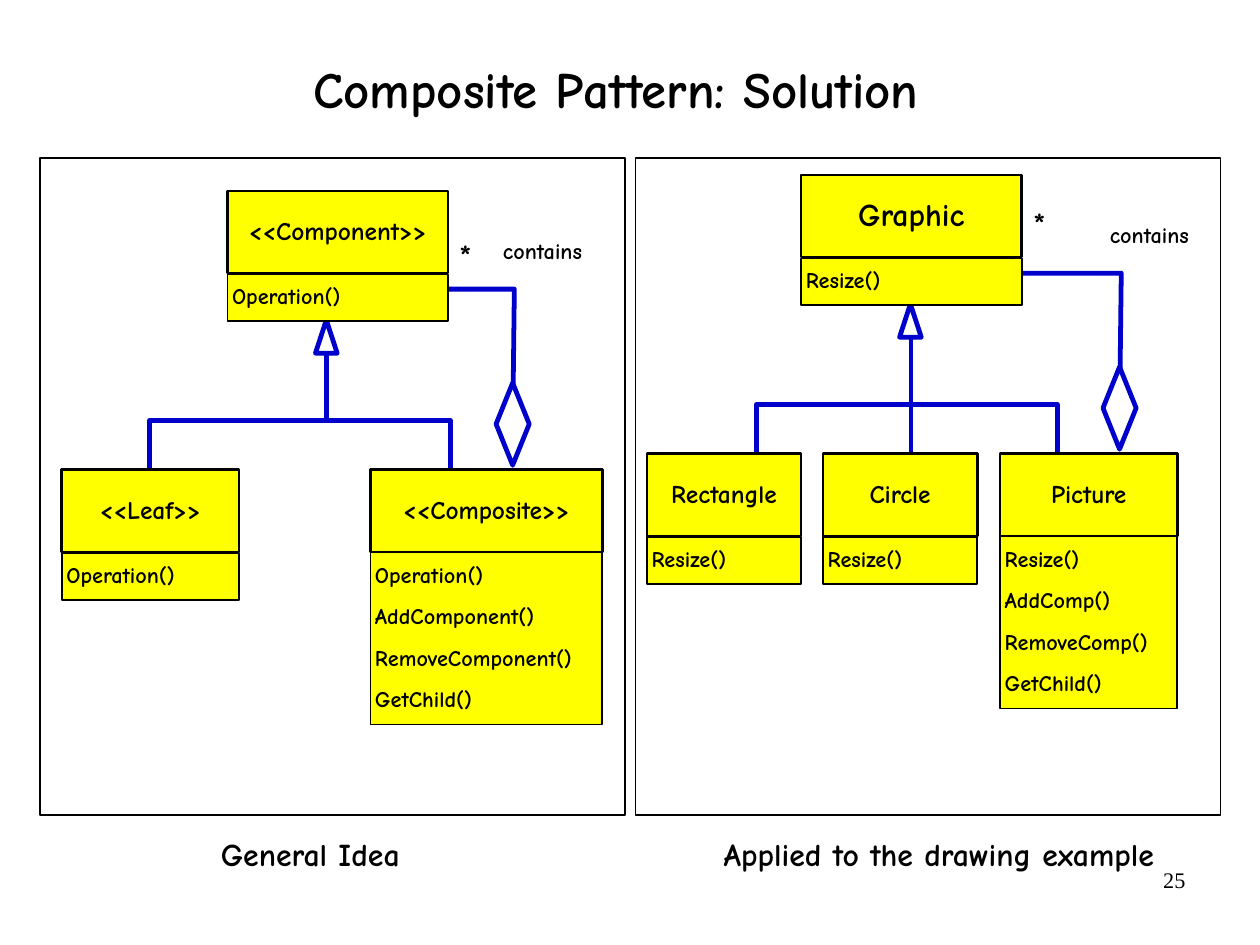
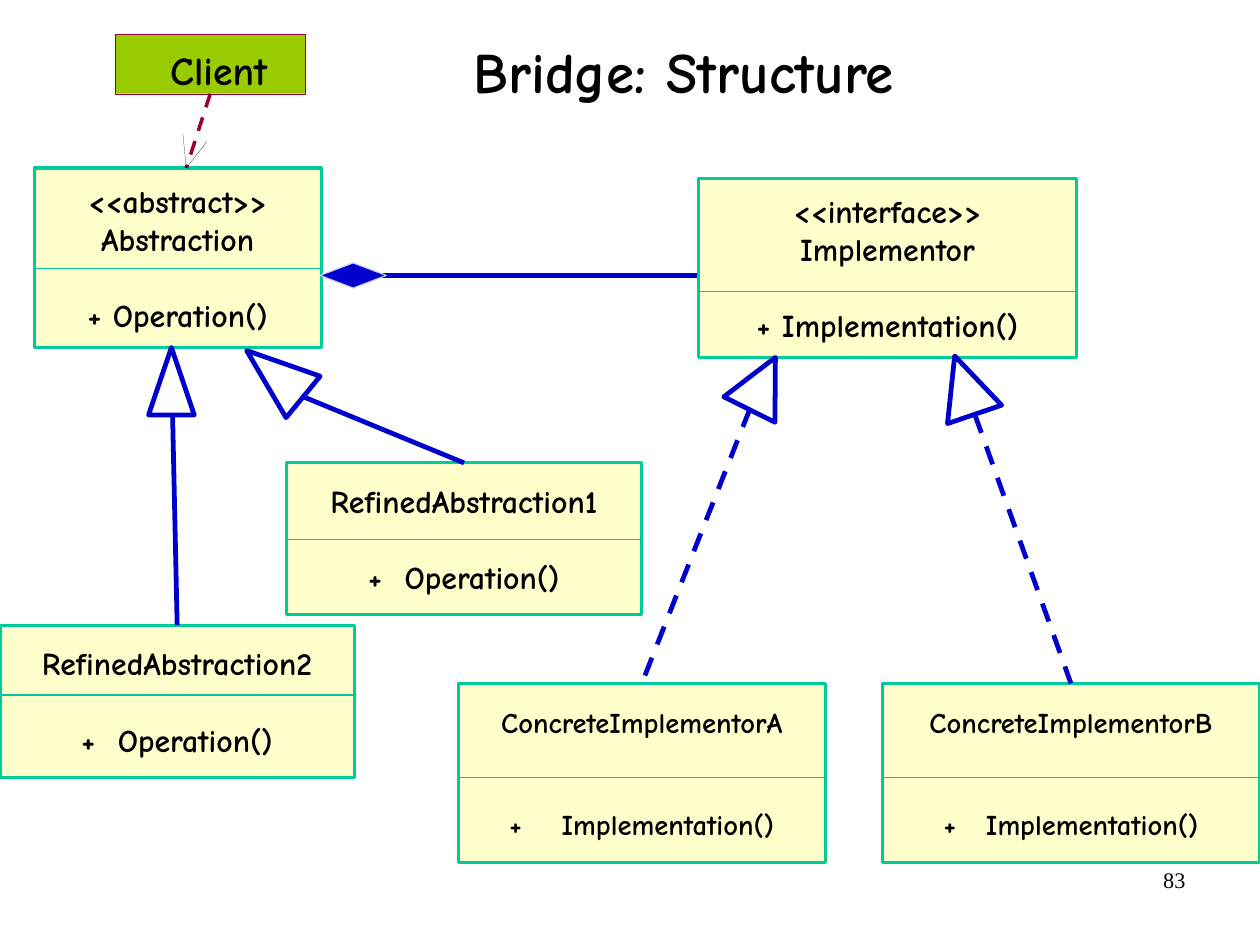
from lxml import etree
from pptx import Presentation
from pptx import util as u
from pptx.dml import color
from pptx.enum import dml, shapes, text
from pptx.oxml import ns

Inches = u.Inches
SHAPE = shapes.MSO_SHAPE
ALIGN = text.PP_ALIGN
ANCHOR = text.MSO_ANCHOR

FONT = "Comic Neue"
NUMBER_FONT = "Times New Roman"
BLACK = "000000"
WHITE = "FFFFFF"
BLUE = "0000CC"
YELLOW = "FFFF00"
CREAM = "FFFFCC"
TEAL = "00CC99"
DIVIDER = "00C896"
CLIENT_GREEN = "99CC00"
CLIENT_RED = "990033"
PALE_BLUE = "CCCCFF"

CM_PER_INCH = 2.54
HAIRLINE = 0.1
HEADER_HEIGHT = 0.72
CHILD_DROP = 2.44
TREE_DROP = 2.01
TREE_WIDTH = 2.63


def rgb(value):
    return color.RGBColor.from_string(value)


def write_text(shape, content, size=20, font=FONT, bold=True, align=ALIGN.CENTER,
               anchor=ANCHOR.MIDDLE, margins=(0.1, 0.05, 0.1, 0.05),
               spacing=1.0, after=0, wrap=True, plus_tracking=0):
    frame = shape.text_frame
    frame.auto_size = text.MSO_AUTO_SIZE.NONE
    frame.word_wrap = wrap
    frame.vertical_anchor = anchor
    (frame.margin_left, frame.margin_top,
     frame.margin_right, frame.margin_bottom) = map(Inches, margins)
    for index, line in enumerate(content.split("\n")):
        paragraph = frame.paragraphs[0] if index == 0 else frame.add_paragraph()
        paragraph.alignment = align
        paragraph.line_spacing = spacing
        paragraph.space_before = u.Pt(0)
        paragraph.space_after = u.Pt(after)
        tracked = plus_tracking and line.startswith("+ ")
        for piece in ("+ ", line[2:]) if tracked else (line,):
            run = paragraph.add_run()
            run.text = piece
            run.font.name = font
            run.font.size = u.Pt(size)
            run.font.bold = bold
            run.font.color.rgb = rgb(BLACK)
        if tracked:
            paragraph.runs[0]._r.get_or_add_rPr().set("spc", str(plus_tracking))
    return frame.paragraphs


def style_shape(shape, fill, line, width):
    shape.shadow.inherit = False
    if fill:
        shape.fill.solid()
        shape.fill.fore_color.rgb = rgb(fill)
    else:
        shape.fill.background()
    shape.line.color.rgb = rgb(line)
    shape.line.width = u.Pt(width)


def add_preset(slide, kind, left, top, width, height, fill=None, line=BLUE,
               line_width=3, rotation=0):
    shape = slide.shapes.add_shape(
        kind, Inches(left), Inches(top), Inches(width), Inches(height))
    style_shape(shape, fill, line, line_width)
    shape.rotation = rotation
    return shape


def add_polyline(slide, points):
    corners = [(Inches(x), Inches(y)) for x, y in points]
    builder = slide.shapes.build_freeform(*corners[0], scale=1.0)
    builder.add_line_segments(corners[1:], close=False)
    style_shape(builder.convert_to_shape(), WHITE, BLUE, 3)


def add_line(slide, start, end, line=BLUE, width=3, dashed=False):
    connector = slide.shapes.add_connector(
        shapes.MSO_CONNECTOR.STRAIGHT, *map(Inches, start + end))
    connector.line.color.rgb = rgb(line)
    connector.line.width = u.Pt(width)
    if dashed:
        connector.line.dash_style = dml.MSO_LINE.DASH
    etree.SubElement(connector.element.spPr, ns.qn("a:effectLst"))
    return connector


def add_label(slide, content, left, top, width, height, **text_format):
    box = slide.shapes.add_textbox(
        Inches(left), Inches(top), Inches(width), Inches(height))
    write_text(box, content, anchor=ANCHOR.TOP, **text_format)


def add_titled_slide(presentation, title, number, box, **title_format):
    slide = presentation.slides.add_slide(presentation.slide_layouts[5])
    placeholder = slide.shapes.title
    (placeholder.left, placeholder.top,
     placeholder.width, placeholder.height) = map(Inches, box)
    write_text(placeholder, title, spacing=0.88, **title_format)
    add_label(slide, number, 7.9, 7.53, 2.57, 0.57, size=14,
              font=NUMBER_FONT, bold=False, align=ALIGN.RIGHT)
    return slide


def add_yellow_class(slide, left, top, width, name, methods, size=16):
    header = add_preset(slide, SHAPE.RECTANGLE, left, top, width, HEADER_HEIGHT,
                        YELLOW, BLACK, 1.63)
    write_text(header, name, size=size, spacing=0.9, after=10.9)
    single = "\n" not in methods
    body_top = top + HEADER_HEIGHT + (0.01 if single else 0)
    body = add_preset(slide, SHAPE.RECTANGLE, left, body_top, width,
                      0.41 if single else 1.51, YELLOW, BLACK, 1)
    write_text(body, methods, size=14, align=ALIGN.LEFT, spacing=0.9, after=10.9,
               margins=(0.04, 0.1, 0.04, 0.1))


def add_composite_panel(slide, left, top, parent, children, stem, stem_end,
                        tree, elbow, star_drop, caption):
    add_preset(slide, SHAPE.RECTANGLE, left, top, 5.12, 5.75,
               line=BLACK, line_width=1)
    parent_x, parent_y, parent_width, name, methods, size = parent
    parent_top = top + parent_y
    parent_right = left + parent_x + parent_width
    child_top = parent_top + CHILD_DROP
    tree_top = parent_top + TREE_DROP
    tree_left, stem_x, elbow_x = left + tree, left + stem, left + elbow

    add_polyline(slide, [(tree_left, child_top), (tree_left, tree_top),
                         (tree_left + TREE_WIDTH, tree_top),
                         (tree_left + TREE_WIDTH, child_top)])
    add_line(slide, (stem_x, parent_top + stem_end), (stem_x, parent_top + 1.43))
    add_polyline(slide, [(parent_right, parent_top + 0.86),
                         (elbow_x, parent_top + 0.86),
                         (elbow_x - 0.01, parent_top + 1.72)])
    add_preset(slide, SHAPE.ISOSCELES_TRIANGLE, stem_x - 0.1, parent_top + 1.13,
               0.19, 0.29, WHITE)
    add_preset(slide, SHAPE.DIAMOND, elbow_x - 0.16, parent_top + 1.68, 0.29, 0.72)

    label_format = dict(align=ALIGN.LEFT, margins=(0, 0, 0, 0), spacing=0.9,
                        wrap=False)
    add_label(slide, "*", parent_right + 0.1, parent_top + star_drop,
              0.15, 0.3, size=20, **label_format)
    add_label(slide, "contains", elbow_x - 0.1, parent_top + 0.43,
              0.76, 0.21, size=14, **label_format)

    add_yellow_class(slide, left + parent_x, parent_top, parent_width,
                     name, methods, size)
    for child_x, width, child_name, child_methods in children:
        add_yellow_class(slide, left + child_x, child_top, width,
                         child_name, child_methods)
    caption_text, caption_x, caption_width = caption
    add_label(slide, caption_text, left + caption_x, top + 5.9, caption_width, 0.41,
              spacing=0.9, margins=(0.11, 0.06, 0.11, 0.06))


def build_composite_slide(presentation):
    slide = add_titled_slide(
        presentation, "Composite Pattern: Solution", "25", (0.69, 0.57, 9.4, 1.37),
        size=32, anchor=ANCHOR.TOP, margins=(0, 0, 0, 0))
    add_composite_panel(
        slide, 0.35, 1.38,
        parent=(1.64, 0.29, 1.93, "<<Component>>", "Operation()", 16),
        children=[
            (0.19, 1.55, "<<Leaf>>", "Operation()"),
            (2.89, 2.03, "<<Composite>>",
             "Operation()\nAddComponent()\nRemoveComponent()\nGetChild()"),
        ],
        stem=2.51, stem_end=TREE_DROP, tree=0.96, elbow=4.15, star_drop=0.43,
        caption=("General Idea", 1.06, 2.61))
    add_composite_panel(
        slide, 5.56, 1.38,
        parent=(1.45, 0.15, 1.93, "Graphic", "Resize()", 20),
        children=[
            (0.1, 1.35, "Rectangle", "Resize()"),
            (1.64, 1.35, "Circle", "Resize()"),
            (3.19, 1.55, "Picture",
             "Resize()\nAddComp()\nRemoveComp()\nGetChild()"),
        ],
        stem=2.41, stem_end=CHILD_DROP, tree=1.06, elbow=4.25, star_drop=0.29,
        caption=("Applied to the drawing example", 0.48, 4.35))


def add_cream_class(slide, left, top, width, height, content, divider,
                    size=20, gap=24, plus_tracking=0):
    box = add_preset(slide, SHAPE.RECTANGLE, left, top, width, height,
                     CREAM, TEAL, 2)
    method = write_text(box, content, size=size, plus_tracking=plus_tracking)[-1]
    method.space_before = u.Pt(gap)
    add_line(slide, (left, top + divider), (left + width, top + divider),
             DIVIDER, 0.75)
    return box


def add_inheritance(slide, child, start, triangle, rotation=0, dashed=False):
    link = add_line(slide, start, start, dashed=dashed)
    link.end_connect(child, 0)
    add_preset(slide, SHAPE.ISOSCELES_TRIANGLE, *triangle, fill=WHITE,
               rotation=rotation)


def add_client(slide, left, top, tip):
    client = add_preset(slide, SHAPE.RECTANGLE, left, top, 1.66, 0.52,
                        CLIENT_GREEN, CLIENT_RED, HAIRLINE)
    write_text(client, "Client", size=25, align=ALIGN.LEFT, anchor=ANCHOR.TOP,
               margins=(0.48, 0.1, 0, 0), wrap=False)
    link = add_line(slide, tip, tip, CLIENT_RED, 2.25, dashed=True)
    link.begin_connect(client, 2)
    for x, y in ((0.18, -0.23), (-0.03, -0.3)):
        add_line(slide, tip, (tip[0] + x, tip[1] + y), BLACK, HAIRLINE)


def build_bridge_slide(presentation):
    slide = add_titled_slide(
        presentation, "Bridge: Structure", "83", (1.28, 0, 9.4, 0.98),
        size=36, anchor=ANCHOR.BOTTOM, margins=(0.11, 0.06, 0.11, 0.06))
    add_cream_class(slide, 0.3, 1.47, 2.51, 1.57,
                    "<<abstract>>\nAbstraction\n+ Operation()", 0.88)
    add_cream_class(slide, 6.11, 1.56, 3.31, 1.57,
                    "<<interface>>\nImplementor\n+ Implementation()", 0.99)
    refined_1, refined_2 = [
        add_cream_class(slide, left, top, 3.1, 1.33, name + "\n+ Operation()",
                        divider, plus_tracking=350)
        for left, top, name, divider in (
            (2.51, 4.05, "RefinedAbstraction1", 0.67),
            (0, 5.47, "RefinedAbstraction2", 0.61))]
    concrete_a, concrete_b = [
        add_cream_class(slide, left, 5.98, width, 1.57, name + "\n+ Implementation()",
                        0.82, size=18, gap=43, plus_tracking=tracking)
        for left, width, name, tracking in (
            (4.01, 3.21, "ConcreteImplementorA", 930),
            (7.72, 3.3, "ConcreteImplementorB", 620))]

    add_inheritance(slide, refined_2, (1.51, 3.63), (1.3, 3.04, 0.4, 0.59))
    add_inheritance(slide, refined_1, (2.65, 3.47), (2.17, 2.95, 0.47, 0.64), 309.4)
    add_inheritance(slide, concrete_a, (6.56, 3.58), (6.42, 3.1, 0.5, 0.51),
                    26.5, dashed=True)
    add_inheritance(slide, concrete_b, (8.53, 3.63), (8.19, 3.1, 0.5, 0.54),
                    341.2, dashed=True)
    add_line(slide, (3.29, 2.41), (6.1, 2.41))
    add_preset(slide, SHAPE.DIAMOND, 2.8, 2.3, 0.58, 0.22, BLUE, PALE_BLUE, 0.75)
    add_client(slide, 1.01, 0.3, (1.63, 1.47))


def main():
    presentation = Presentation()
    presentation.slide_width = Inches(28 / CM_PER_INCH)
    presentation.slide_height = Inches(21 / CM_PER_INCH)
    build_composite_slide(presentation)
    build_bridge_slide(presentation)
    presentation.save("out.pptx")


if __name__ == "__main__":
    main()
